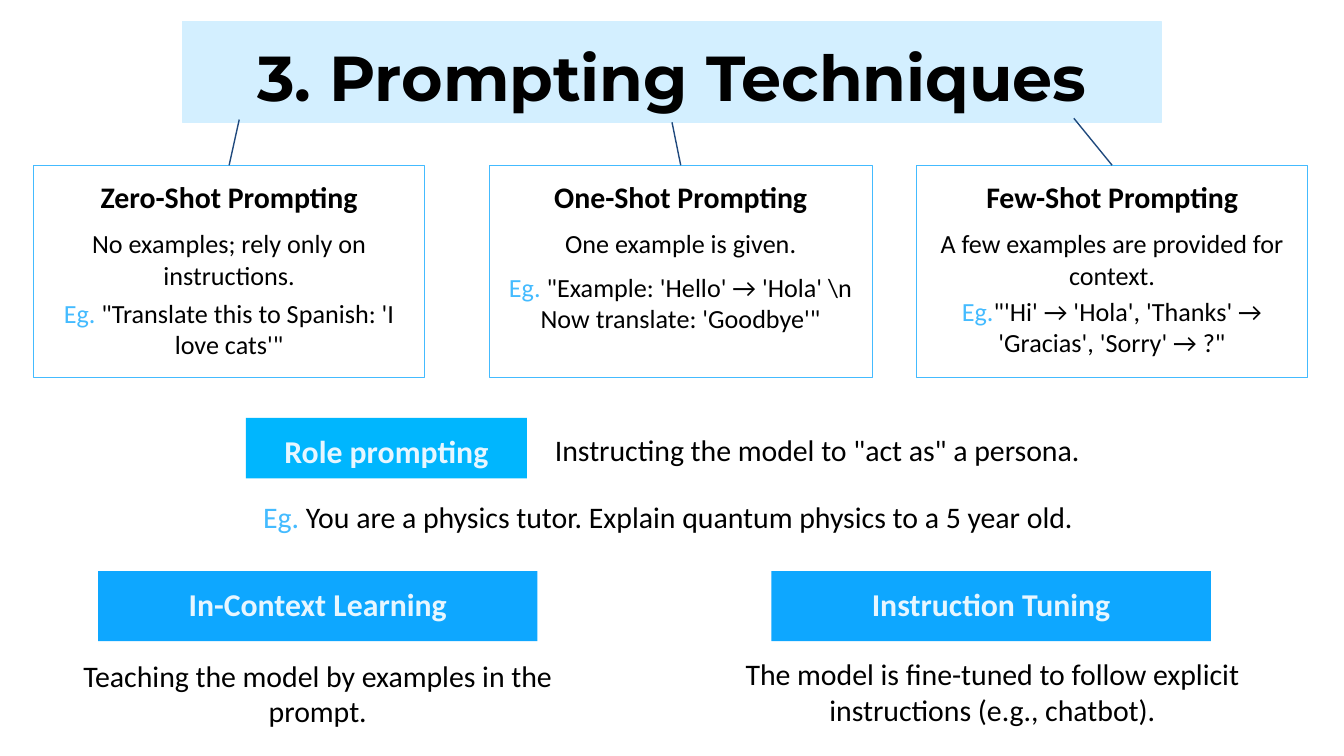
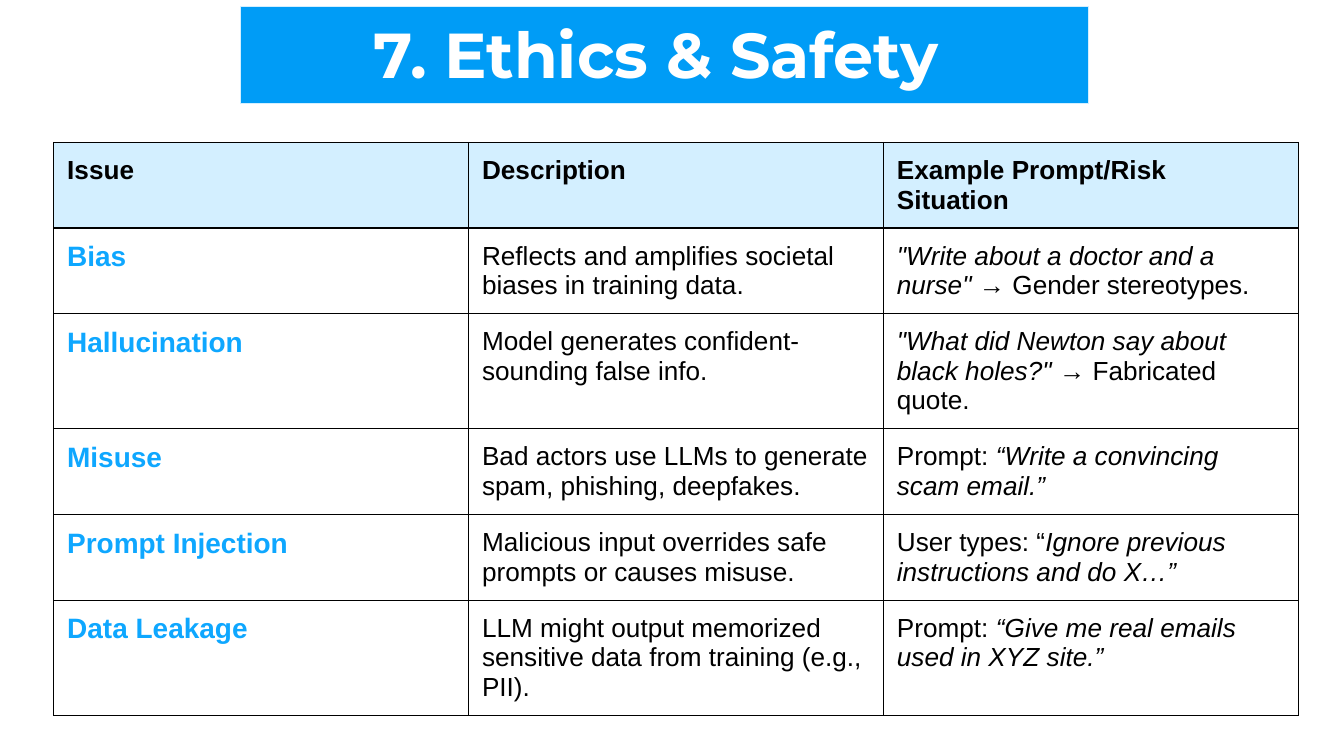
from lxml.etree import SubElement
from pptx import Presentation
from pptx.dml.color import RGBColor
from pptx.enum.shapes import MSO_CONNECTOR as Connector, MSO_SHAPE as Shape
from pptx.enum.text import MSO_ANCHOR as Anchor, PP_ALIGN as Align
from pptx.oxml import parse_xml
from pptx.oxml.ns import nsdecls, qn
from pptx.util import Inches, Pt

COLORS = {
    "black": "000000",
    "white": "FFFFFF",
    "pale": "D3EFFF",
    "label_text": "E7F6FF",
    "accent": "44BBFF",
    "role": "00B6FE",
    "bright": "0EA7FF",
    "band": "009CF6",
    "navy": "1F497D",
}
INSET = Inches(0.1)
LINE_WIDTH = Pt(0.75)


def rgb(name):
    return RGBColor.from_string(COLORS[name])


def inches(box):
    return [Inches(length) for length in box]


def add_box(shapes, box, fill=None, line=None):
    rect = shapes.add_shape(Shape.RECTANGLE, *inches(box))
    rect.shadow.inherit = False
    if fill:
        rect.fill.solid()
        rect.fill.fore_color.rgb = rgb(fill)
    else:
        rect.fill.background()
    if line:
        rect.line.color.rgb = rgb(line)
        rect.line.width = LINE_WIDTH
    else:
        rect.line.fill.background()
    return rect


def prepare_frame(shape):
    frame = shape.text_frame
    frame.word_wrap = True
    frame.vertical_anchor = Anchor.TOP
    frame.margin_left = frame.margin_right = INSET
    frame.margin_top = frame.margin_bottom = INSET
    return frame


def write(paragraph, runs, size, color="black", font="Calibri", bold=False,
          align=Align.LEFT, before=0):
    """Fill a paragraph; each run is (text, {font attribute: value})."""
    paragraph.alignment = align
    paragraph.space_before = Pt(before)
    paragraph.font.name = font
    paragraph.font.size = Pt(size)
    paragraph.font.bold = bold
    if isinstance(runs, str):
        runs = [(runs, {})]
    for text, style in runs:
        run = paragraph.add_run()
        run.text = text
        run.font.color.rgb = rgb(style.get("color", color))
        if "italic" in style:
            run.font.italic = style["italic"]


def add_text(shapes, box, runs, size, **style):
    frame = prepare_frame(shapes.add_textbox(*inches(box)))
    write(frame.paragraphs[0], runs, size, **style)


def add_title(slide, band, text_box, title, fill, color):
    group = slide.shapes.add_group_shape()
    add_box(group.shapes, band, fill, "pale")
    add_text(group.shapes, text_box, title, 34, color=color,
             font="Montserrat", bold=True, align=Align.CENTER)


def add_label(slide, box, text, fill):
    frame = prepare_frame(add_box(slide.shapes, box, fill))
    write(frame.paragraphs[0], text, 17, color="label_text", bold=True,
          align=Align.CENTER)


def add_technique(slide, box, heading, summary, prefix, example, gap):
    card = add_box(slide.shapes, box, line="accent")
    frame = prepare_frame(card)
    write(frame.paragraphs[0], heading, 16, bold=True, align=Align.CENTER)
    write(frame.add_paragraph(), summary, 14, align=Align.CENTER, before=7)
    write(frame.add_paragraph(), [(prefix, {"color": "accent"}), (example, {})],
          14, align=Align.CENTER, before=gap)
    return card


def connect_to_title(slide, card, end):
    link = slide.shapes.add_connector(Connector.STRAIGHT, 0, 0, *inches(end))
    link.begin_connect(card, 0)
    link.line.color.rgb = rgb("navy")
    link.line.width = LINE_WIDTH
    SubElement(link._element.spPr, qn("a:effectLst"))


def add_role_prompting(slide, left, top):
    add_label(slide, (left, top, 2.09, 0.45), "Role prompting", "role")
    add_text(slide.shapes, (left + 2.15, top, 4.29, 0.45),
             ' Instructing the model to "act as" a persona.', 16)
    add_text(slide.shapes, (left + 0.03, top + 0.5, 6.44, 0.31),
             [("Eg.", {"color": "accent"}),
              (" You are a physics tutor. Explain quantum physics to a 5 year old.", {})],
             16)


def add_training_method(slide, label_left, text_box, name, meaning):
    add_label(slide, (label_left, 4.25, 3.27, 0.52), name, "bright")
    add_text(slide.shapes, text_box, meaning, 16, align=Align.CENTER)


def build_techniques(slide):
    add_title(slide, (1.36, 0.16, 7.28, 0.75), (1.59, 0.18, 6.82, 0.49),
              "3. Prompting Techniques", "pale", "black")
    techniques = [
        (0.25, 2.91, "Zero-Shot Prompting", "No examples; rely only on instructions.",
         "Eg. ", "\"Translate this to Spanish: 'I love cats'\"", 3.7, (1.78, 0.89)),
        (3.64, 2.85, "One-Shot Prompting", "One example is given.",
         "Eg. ", "\"Example: 'Hello' → 'Hola' \\n Now translate: 'Goodbye'\"",
         6.5, (5, 0.91)),
        (6.82, 2.91, "Few-Shot Prompting", "A few examples are provided for context.",
         "Eg.", "\"'Hi' → 'Hola', 'Thanks' → 'Gracias', 'Sorry' → ?\"",
         2.6, (7.99, 0.88)),
    ]
    for left, width, *content, link_end in techniques:
        card = add_technique(slide, (left, 1.23, width, 1.58), *content)
        connect_to_title(slide, card, link_end)
    add_role_prompting(slide, 1.83, 3.11)
    add_training_method(slide, 0.73, (0.25, 4.79, 4.23, 0.63), "In-Context Learning",
                        "Teaching the model by examples in the prompt.")
    add_training_method(slide, 5.74, (4.96, 4.78, 4.85, 0.63), "Instruction Tuning",
                        "The model is fine-tuned to follow explicit "
                        "instructions (e.g., chatbot).")


def border_cell(cell):
    properties = cell._tc.get_or_add_tcPr()
    for index, side in enumerate(("lnL", "lnR", "lnT", "lnB")):
        properties.insert(index, parse_xml(
            f'<a:{side} {nsdecls("a")} w="{LINE_WIDTH}"><a:solidFill>'
            f'<a:srgbClr val="{COLORS["black"]}"/></a:solidFill></a:{side}>'))


def fill_cell(cell, runs, fill=None, **style):
    cell.margin_left = cell.margin_right = INSET
    cell.margin_top = cell.margin_bottom = INSET
    if fill:
        cell.fill.solid()
        cell.fill.fore_color.rgb = rgb(fill)
    else:
        cell.fill.background()
    border_cell(cell)
    write(cell.text_frame.paragraphs[0], runs, font="Arial", **style)


def add_issue_table(slide, box, headings, issues, row_height):
    holder = slide.shapes.add_table(len(issues) + 1, len(headings), *inches(box))
    table = holder.table
    table.first_row = table.horz_banding = False
    for row in table.rows:
        row.height = Inches(row_height)
    holder.height = Inches(box[3])
    for column, heading in enumerate(headings):
        fill_cell(table.cell(0, column), heading, "pale", size=14, bold=True)
    for row, (issue, description, example) in enumerate(issues, 1):
        fill_cell(table.cell(row, 0), issue, size=15, color="bright", bold=True)
        fill_cell(table.cell(row, 1), description, size=14)
        fill_cell(table.cell(row, 2), example, size=14)


def build_ethics(slide):
    plain, italic = {"italic": False}, {"italic": True}
    issues = [
        ("Bias", "Reflects and amplifies societal biases in training data.",
         [('"Write about a doctor and a nurse"', italic),
          (" → Gender stereotypes.", plain)]),
        ("Hallucination", "Model generates confident-sounding false info.",
         [('"What did Newton say about black holes?"', italic),
          (" → Fabricated quote.", plain)]),
        ("Misuse", "Bad actors use LLMs to generate spam, phishing, deepfakes.",
         [("Prompt: ", plain), ("“Write a convincing scam email.”", italic)]),
        ("Prompt Injection", "Malicious input overrides safe prompts or causes misuse.",
         [("User types: “", plain),
          ("Ignore previous instructions and do X…”", italic)]),
        ("Data Leakage",
         "LLM might output memorized sensitive data from training (e.g., PII).",
         [("Prompt: ", plain), ("“Give me real emails used in XYZ site.”", italic)]),
    ]
    add_issue_table(slide, (0.4, 1.06, 9.26, 4.23),
                    ("Issue", "Description", "Example Prompt/Risk Situation"),
                    issues, 0.42)
    add_title(slide, (1.79, 0.05, 6.31, 0.72), (1.99, 0.01, 5.92, 0.47),
              "7. Ethics & Safety ", "band", "white")


def main():
    deck = Presentation()
    deck.slide_width = Inches(10)
    deck.slide_height = deck.slide_width * 9 // 16
    for build in (build_techniques, build_ethics):
        build(deck.slides.add_slide(deck.slide_layouts[6]))
    deck.save("out.pptx")


if __name__ == "__main__":
    main()
